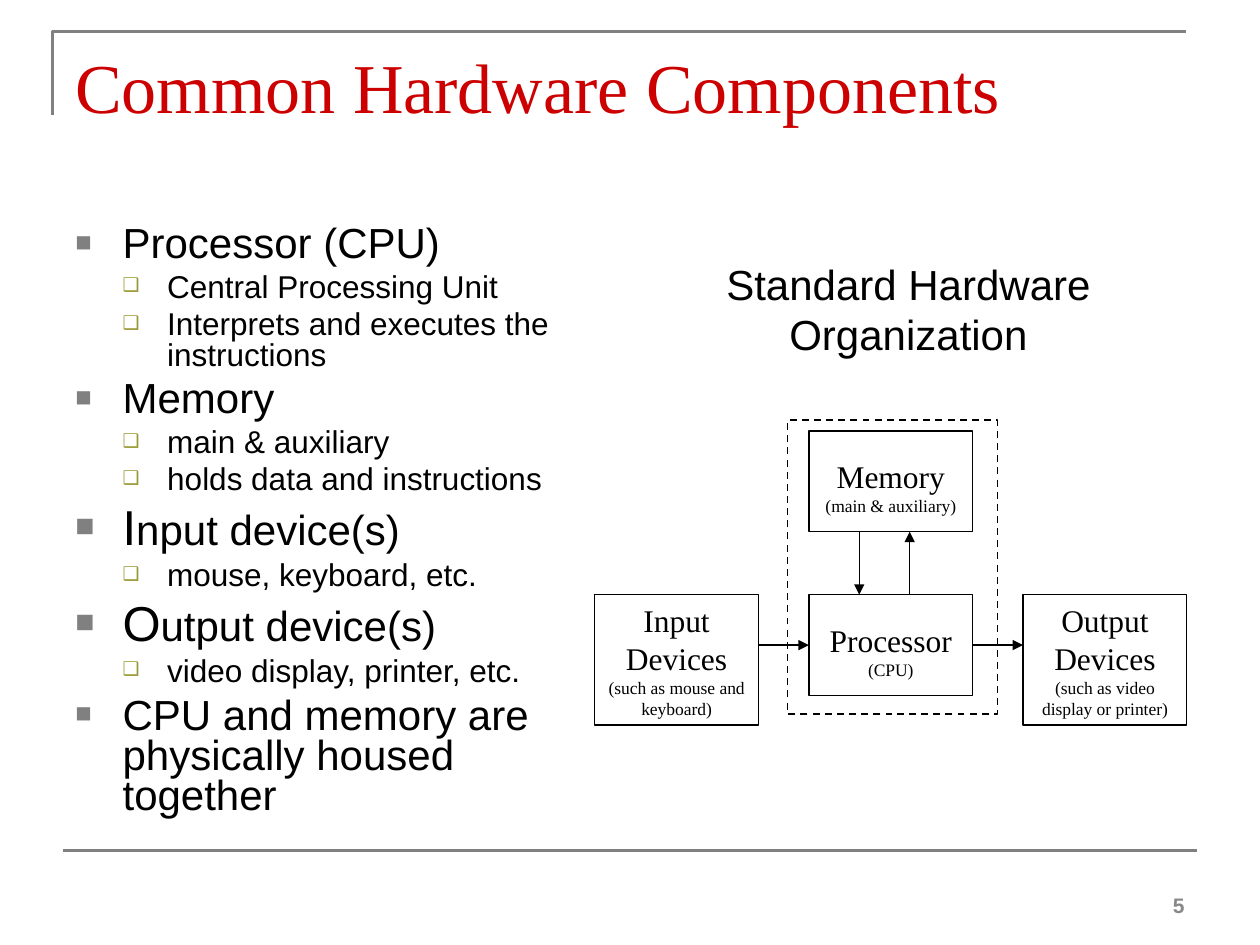
"""Builds the Common Hardware Components slide."""
from dataclasses import dataclass
from typing import Optional

import lxml.etree
import pptx
import pptx.dml.color
import pptx.enum.dml
import pptx.enum.shapes
import pptx.enum.text
import pptx.oxml.ns
import pptx.util

Pt = pptx.util.Pt
ALIGN = pptx.enum.text.PP_ALIGN
ANCHOR = pptx.enum.text.MSO_ANCHOR
COLORS = {"black": "000000", "gray": "808080", "title": "CC0000",
          "olive": "999933", "number": "898989"}
SANS, SERIF = "Arial", "Times New Roman"
BOX_W, BOX_H, TALL_H = 93.6, 57.6, 74.4
COLUMNS = [339.84 + 122.4 * i for i in range(3)]
MEMORY_Y, DEVICE_Y = 246.24, 339.84
FLOW_Y = DEVICE_Y + BOX_H / 2


@dataclass(frozen=True)
class Level:
    indent: float
    hanging: float
    mark: str
    color: str
    percent: int


@dataclass(frozen=True)
class Bullet:
    level: int
    runs: tuple[tuple[str, float], ...]


@dataclass(frozen=True)
class Unit:
    name: str
    detail: str
    x: float
    y: float
    h: float
    top: float


@dataclass(frozen=True)
class Line:
    x1: float
    y1: float
    x2: float
    y2: float
    color: str = "black"
    width: float = 0.75
    arrow: bool = True


LEVELS = [Level(27, 27, "■", "gray", 65), Level(52.5, 25.5, "❑", "olive", 60)]
BULLETS = [
    Bullet(0, (("Processor (CPU)", 24),)),
    Bullet(1, (("Central Processing Unit", 18),)),
    Bullet(1, (("Interprets and executes the instructions", 18),)),
    Bullet(0, (("Memory", 24),)),
    Bullet(1, (("main & auxiliary", 18),)),
    Bullet(1, (("holds data and instructions", 18),)),
    Bullet(0, (("I", 28), ("nput device(s)", 24))),
    Bullet(1, (("mouse, keyboard, etc.", 18),)),
    Bullet(0, (("O", 28), ("utput device(s)", 24))),
    Bullet(1, (("video display, printer, etc.", 18),)),
    Bullet(0, (("CPU and memory are physically housed together", 24),)),
]
UNITS = [
    Unit("Memory", "(main & auxiliary)", COLUMNS[1], MEMORY_Y, BOX_H, 15.1),
    Unit("Processor", "(CPU)", COLUMNS[1], DEVICE_Y, BOX_H, 15.1),
    Unit("Input Devices", "(such as mouse and keyboard)", COLUMNS[0], DEVICE_Y, TALL_H, 3.6),
    Unit("Output Devices", "(such as video display or printer)", COLUMNS[2], DEVICE_Y, TALL_H, 3.6),
]
LINES = [
    Line(36, 486, 684, 486, "gray", 1.5, False),
    Line(491.04, MEMORY_Y + BOX_H, 491.04, DEVICE_Y),
    Line(519.84, DEVICE_Y, 519.84, MEMORY_Y + BOX_H),
    Line(COLUMNS[0] + BOX_W, FLOW_Y, COLUMNS[1], FLOW_Y),
    Line(COLUMNS[1] + BOX_W, FLOW_Y, COLUMNS[2], FLOW_Y),
]


def rgb(name: str) -> pptx.dml.color.RGBColor:
    """Return a named colour."""
    return pptx.dml.color.RGBColor.from_string(COLORS[name])


def add_xml(parent, tag: str, **attrs: str):
    """Append a DrawingML element."""
    return lxml.etree.SubElement(parent, pptx.oxml.ns.qn(tag), attrs)


def add_run(p, text: str, size: float, font: str, color: str = "black", bold: bool = False) -> None:
    """Append a styled run."""
    r = p.add_run()
    r.text = text
    r.font.size, r.font.name, r.font.bold = Pt(size), font, bold
    r.font.color.rgb = rgb(color)


def add_text(s, x: float, y: float, w: float, h: float, align: Optional[ALIGN] = None,
             anchor: ANCHOR = ANCHOR.TOP, wrap: bool = True):
    """Add a text box and return its frame."""
    tf = s.shapes.add_textbox(Pt(x), Pt(y), Pt(w), Pt(h)).text_frame
    tf.word_wrap, tf.vertical_anchor = wrap, anchor
    tf.paragraphs[0].alignment = align
    return tf


def add_bullet(p, bullet: Bullet) -> None:
    """Fill one paragraph of the outline."""
    level = LEVELS[bullet.level]
    p.level, p.line_spacing = bullet.level, 0.8
    p.space_before = Pt(round(0.23 * bullet.runs[0][1], 1))
    pPr = p._p.get_or_add_pPr()
    pPr.set("marL", str(Pt(level.indent)))
    pPr.set("indent", str(-Pt(level.hanging)))
    add_xml(add_xml(pPr, "a:buClr"), "a:srgbClr", val=COLORS[level.color])
    add_xml(pPr, "a:buSzPct", val=str(level.percent * 1000))
    add_xml(pPr, "a:buFont", typeface=SANS)
    add_xml(pPr, "a:buChar", char=level.mark)
    for text, size in bullet.runs:
        add_run(p, text, size, SANS)


def style_outline(sp, color: str, width: float) -> None:
    """Give a shape an outline only."""
    sp.shadow.inherit = False
    sp.fill.background()
    sp.line.color.rgb, sp.line.width = rgb(color), Pt(width)


def add_rect(s, x: float, y: float, w: float, h: float, width: float):
    """Add an unfilled black rectangle."""
    sp = s.shapes.add_shape(pptx.enum.shapes.MSO_SHAPE.RECTANGLE, Pt(x), Pt(y), Pt(w), Pt(h))
    style_outline(sp, "black", width)
    return sp


def add_unit(s, unit: Unit) -> None:
    """Add a labelled hardware box."""
    tf = add_rect(s, unit.x, unit.y, BOX_W, unit.h, 0.75).text_frame
    tf.word_wrap, tf.vertical_anchor, tf.margin_top = True, ANCHOR.TOP, Pt(unit.top)
    for p, text, size in ((tf.paragraphs[0], unit.name, 18), (tf.add_paragraph(), unit.detail, 10)):
        p.alignment = ALIGN.CENTER
        add_run(p, text, size, SERIF)


def add_line(s, line: Line) -> None:
    """Add a rule or an arrow."""
    sp = s.shapes.add_connector(pptx.enum.shapes.MSO_CONNECTOR.STRAIGHT,
                                Pt(line.x1), Pt(line.y1), Pt(line.x2), Pt(line.y2))
    sp.line.color.rgb, sp.line.width = rgb(line.color), Pt(line.width)
    if line.arrow:
        add_xml(sp.line._get_or_add_ln(), "a:tailEnd", type="triangle")
    add_xml(sp._element.spPr, "a:effectLst")


def main() -> None:
    """Build and save the slide."""
    prs = pptx.Presentation()
    prs.slide_width, prs.slide_height = Pt(720), Pt(540)
    s = prs.slides.add_slide(prs.slide_layouts[6])

    corner = s.shapes.build_freeform(Pt(30), Pt(66))
    corner.add_line_segments([(Pt(30), Pt(18)), (Pt(678), Pt(18))], close=False)
    style_outline(corner.convert_to_shape(), "gray", 1.5)

    title = add_text(s, 36, 21.6, 648, 90)
    add_run(title.paragraphs[0], "Common Hardware Components", 40, SERIF, "title")

    outline = add_text(s, 36, 126, 318, 356.4)
    for i, bullet in enumerate(BULLETS):
        add_bullet(outline.add_paragraph() if i else outline.paragraphs[0], bullet)

    number = add_text(s, 516, 492, 168, 36, ALIGN.RIGHT, ANCHOR.BOTTOM)
    add_run(number.paragraphs[0], "5", 12, SANS, "number", True)

    for unit in UNITS:
        add_unit(s, unit)
    for line in LINES:
        add_line(s, line)
    housing = add_rect(s, 450, 240, 120, 168, 1)
    housing.line.dash_style = pptx.enum.dml.MSO_LINE.DASH

    heading = add_text(s, 406.8, 144, 224.6, 65.5, ALIGN.CENTER, wrap=False)
    p = heading.paragraphs[0]
    add_run(p, "Standard Hardware", 24, SANS)
    p.add_line_break()
    add_run(p, "Organization", 24, SANS)

    prs.save("out.pptx")


if __name__ == "__main__":
    main()
